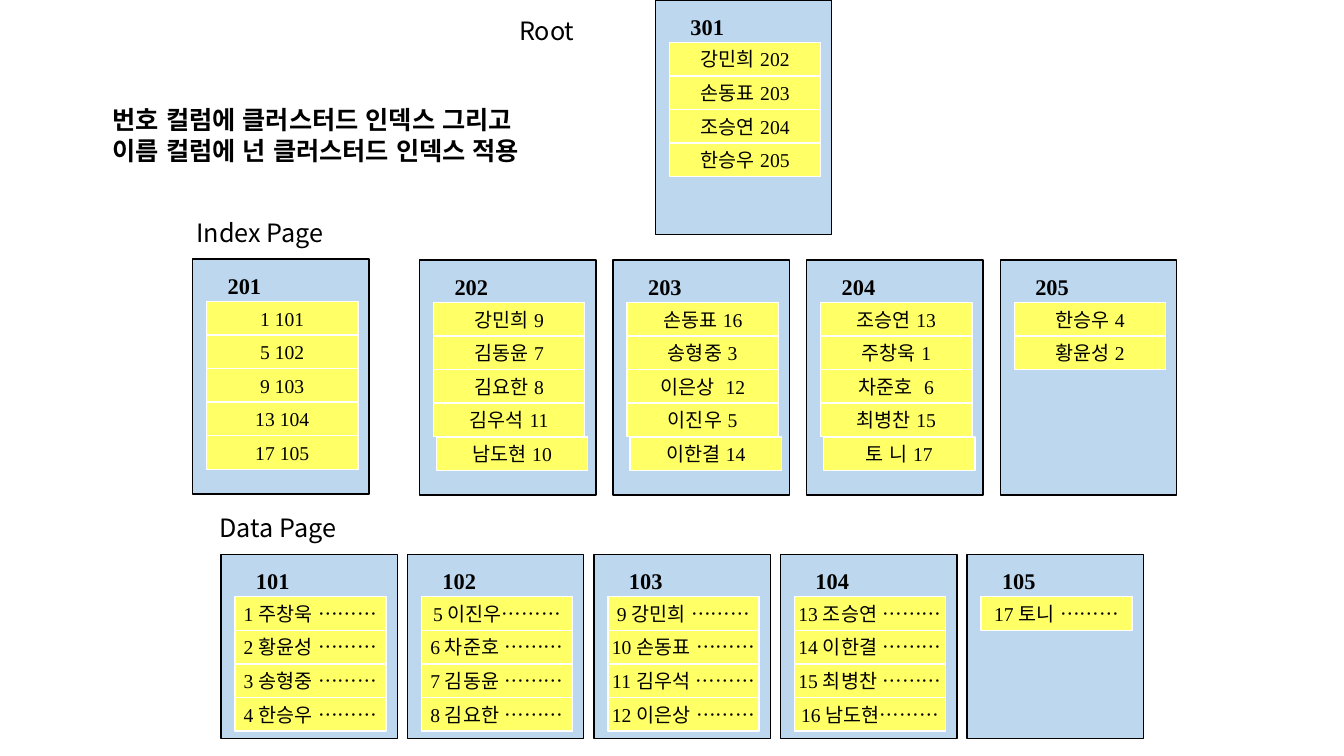
from pptx import Presentation
from pptx.dml.color import RGBColor
from pptx.enum.lang import MSO_LANGUAGE_ID
from pptx.enum.shapes import MSO_SHAPE
from pptx.enum.text import MSO_ANCHOR, MSO_AUTO_SIZE, PP_ALIGN
from pptx.oxml.ns import qn
from pptx.util import Inches, Pt

SERIF, SANS = "Times New Roman", "Noto Sans CJK KR"
PAGE_WIDTH, ROW_WIDTH, ROW_HEIGHT = 1.75, 1.5, 1 / 3
INDEX_HEIGHT, DATA_HEIGHT = 2.33, 1.83
DOTS = "………"

ROOT_ROWS = ["강민희 202", "손동표 203", "조승연 204", "한승우 205"]
CLUSTERED_ROWS = ["1 101", "5 102", "9 103", "13 104", "17 105"]
NAME_PAGES = [
    ["강민희 9", "김동윤 7", "김요한 8", "김우석 11", "남도현 10"],
    ["손동표 16", "송형중 3", "이은상  12", "이진우 5", "이한결 14"],
    ["조승연 13", "주창욱 1", "차준호  6", "최병찬 15", "토 니 17"],
    ["한승우 4", "황윤성 2"],
]
DATA_PAGES = [
    ["1 주창욱 ", "2 황윤성 ", "3 송형중 ", "4 한승우 "],
    ["5 이진우", "6 차준호 ", "7 김동윤 ", "8 김요한 "],
    ["9 강민희 ", "10 손동표 ", "11 김우석 ", "12 이은상 "],
    ["13 조승연 ", "14 이한결 ", "15 최병찬 ", "16 남도현"],
    ["17 토니 "],
]


def color(value):
    """Turn a hex string into a colour."""
    return RGBColor.from_string(value)


def write(shape, text, size, bold=False, font=SERIF):
    """Put one black run into a shape and return its paragraph."""
    paragraph = shape.text_frame.paragraphs[0]
    run = paragraph.add_run()
    run.text = text
    values = {"name": font, "size": Pt(size), "bold": bold, "language_id": MSO_LANGUAGE_ID.KOREAN}
    for name, value in values.items():
        setattr(run.font, name, value)
    run.font.color.rgb = color("000000")
    properties = run._r.get_or_add_rPr()
    east_asian = properties.makeelement(qn("a:ea"), {"typeface": SANS})
    properties.find(qn("a:latin")).addnext(east_asian)
    return paragraph


def add_label(slide, text, left, top, width, height, size=18, bold=False, font=SANS, wrap=True):
    """Add a text box that fits its text."""
    box = slide.shapes.add_textbox(Inches(left), Inches(top), Inches(width), Inches(height))
    write(box, text, size, bold, font)
    for name, value in {"word_wrap": wrap, "auto_size": MSO_AUTO_SIZE.SHAPE_TO_FIT_TEXT}.items():
        setattr(box.text_frame, name, value)


def add_box(slide, left, top, width, height, fill, line):
    """Add a flat rectangle with a thin outline."""
    box = slide.shapes.add_shape(
        MSO_SHAPE.RECTANGLE, Inches(left), Inches(top), Inches(width), Inches(height))
    box.shadow.inherit = False
    box.fill.solid()
    box.fill.fore_color.rgb = color(fill)
    box.line.color.rgb = color(line)
    box.line.width = Pt(1)
    return box


def add_row(slide, text, left, top):
    """Add a yellow index or data row."""
    row = add_box(slide, left, top, ROW_WIDTH, ROW_HEIGHT, "FFFF66", "FFFFFF")
    for name, value in {"word_wrap": False, "vertical_anchor": MSO_ANCHOR.MIDDLE}.items():
        setattr(row.text_frame, name, value)
    write(row, text, 14).alignment = PP_ALIGN.CENTER


def add_page(slide, number, rows, left, top, height, last_shift=0):
    """Add a numbered page with its rows, the fifth one shifted right."""
    add_box(slide, left, top, PAGE_WIDTH, height, "BDD7EE", "000000")
    add_label(slide, str(number), left + 0.25, top + 0.08, 0.53, 0.37, 16, True, SERIF, False)
    for index, text in enumerate(rows):
        shift = last_shift if index == 4 else 0
        add_row(slide, text, left + 0.14 + shift, top + 0.42 + index * ROW_HEIGHT)


def main():
    """Build the index structure slide."""
    presentation = Presentation()
    presentation.slide_width, presentation.slide_height = Inches(13.33), Inches(7.5)
    slide = presentation.slides.add_slide(presentation.slide_layouts[6])
    for index, names in enumerate(DATA_PAGES):
        rows = [name + DOTS for name in names]
        add_page(slide, 101 + index, rows, 2.19 + 1.85 * index, 5.5, DATA_HEIGHT)
    add_label(slide, "번호 컬럼에 클러스터드 인덱스 그리고 이름 컬럼에 넌 클러스터드 인덱스 적용",
              1.02, 0.99, 4.66, 0.71, bold=True, font=SERIF)
    add_page(slide, 201, CLUSTERED_ROWS, 1.91, 2.57, INDEX_HEIGHT)
    for index, rows in enumerate(NAME_PAGES):
        add_page(slide, 202 + index, rows, 4.16 + 1.92 * index, 2.58, INDEX_HEIGHT, 0.03)
    add_page(slide, 301, ROOT_ROWS, 6.5, 0, INDEX_HEIGHT)
    for text, left, top in [("Data Page", 2.08, 5.03), ("Index Page", 1.85, 2.11), ("Root", 5.05, 0.1)]:
        add_label(slide, text, left, top, 2.01, 0.4)
    presentation.save("out.pptx")


main()
